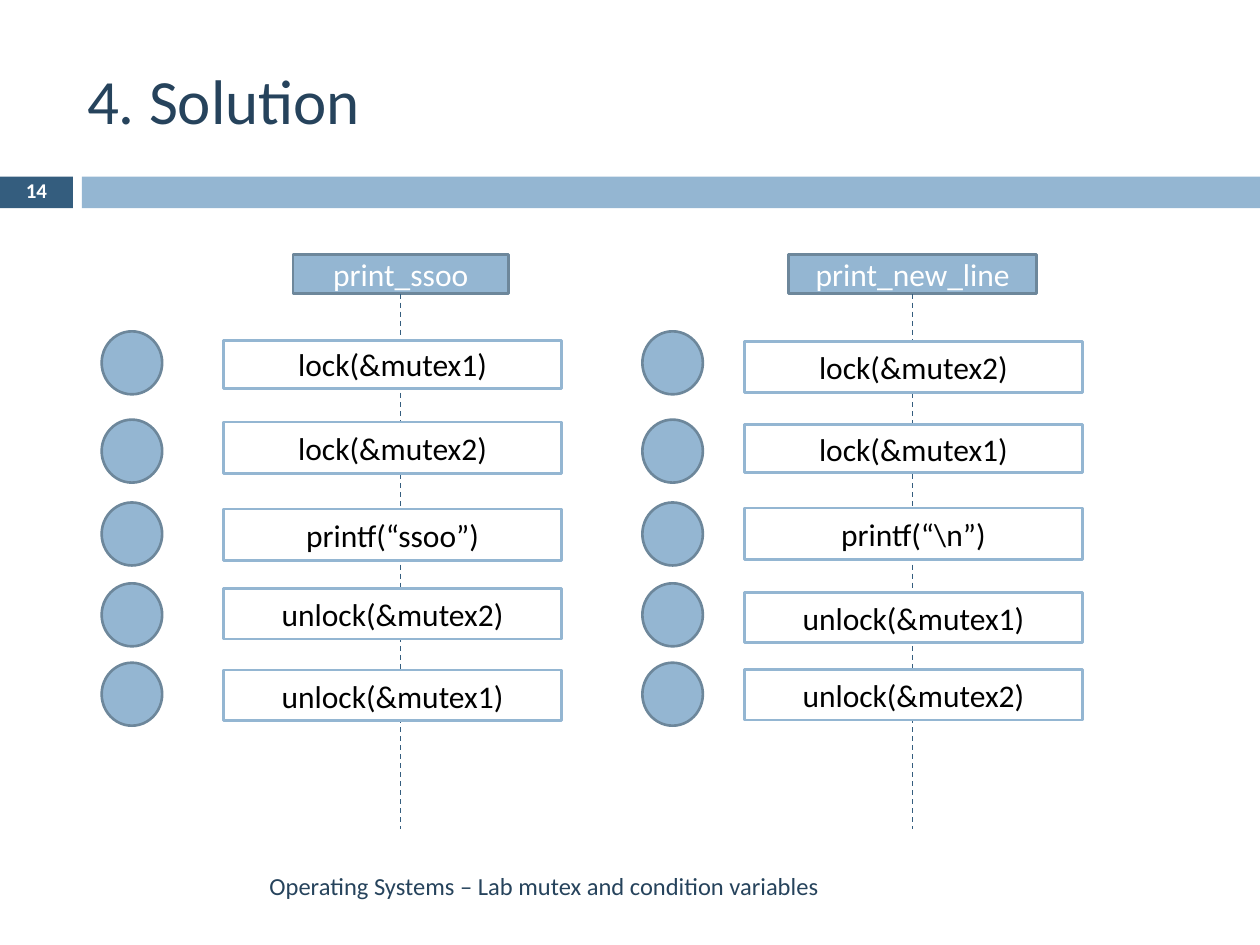
from lxml.etree import SubElement
from pptx import Presentation
from pptx.dml.color import RGBColor
from pptx.enum.dml import MSO_LINE_DASH_STYLE as DASH
from pptx.enum.shapes import MSO_CONNECTOR as CONN, MSO_SHAPE as SHAPE
from pptx.enum.text import MSO_ANCHOR as ANCHOR, MSO_AUTO_SIZE as AUTO, PP_ALIGN as ALIGN
from pptx.oxml.ns import qn
from pptx.util import Cm, Pt

WHITE, BLACK = "FFFFFF", "000000"
NAVY, DARK, LIGHT, EDGE = "26435C", "345D7E", "94B6D2", "6D879B"

CIRCLE_TOPS = [1.55, 3.33, 5.0, 6.63, 8.23]  # below the lane top
# (text, top below the lane top, height)
SSOO_STEPS = [
    ("lock(&mutex1)", 1.73, 0.97),
    ("lock(&mutex2)", 3.38, 1.04),
    ("printf(“ssoo”)", 5.13, 1.04),
    ("unlock(&mutex2)", 6.73, 1.02),
    ("unlock(&mutex1)", 8.38, 1.02),
]
NEW_LINE_STEPS = [
    ("lock(&mutex2)", 1.75, 1.04),
    ("lock(&mutex1)", 3.43, 0.97),
    ("printf(“\\n”)", 5.11, 1.04),
    ("unlock(&mutex1)", 6.81, 1.02),
    ("unlock(&mutex2)", 8.37, 1.02),
]


def rgb(hex_color):
    return RGBColor.from_string(hex_color)


def place(sp, x, y, w, h):
    sp.left, sp.top, sp.width, sp.height = Cm(x), Cm(y), Cm(w), Cm(h)


def write(sp, text, size, color, align=ALIGN.CENTER, bold=False):
    tf = sp.text_frame
    tf.word_wrap = True
    tf.auto_size = AUTO.NONE
    tf.vertical_anchor = ANCHOR.MIDDLE
    p = tf.paragraphs[0]
    p.text = text
    p.alignment = align
    p.font.name, p.font.size, p.font.bold = "Calibri", Pt(size), bold
    p.font.color.rgb = rgb(color)
    return p


def add_shape(slide, kind, x, y, w, h, fill, line=None):
    sp = slide.shapes.add_shape(kind, Cm(x), Cm(y), Cm(w), Cm(h))
    sp.shadow.inherit = False
    sp.fill.solid()
    sp.fill.fore_color.rgb = rgb(fill)
    if line:
        sp.line.color.rgb = rgb(line)
        sp.line.width = Pt(1.5)
    else:
        sp.line.fill.background()
    return sp


def add_dashed_line(slide, x, top, bottom):
    line = slide.shapes.add_connector(CONN.STRAIGHT, Cm(x), Cm(top), Cm(x), Cm(bottom))
    line.line.color.rgb = rgb(DARK)
    line.line.width = Pt(0.75)
    line.line.dash_style = DASH.DASH
    SubElement(line._element.spPr, qn("a:effectLst"))


def add_heading(slide, title, number, y, h):
    """Title above a band that holds the slide number."""
    place(slide.shapes.title, 1.5, 0.64, 24.21, 2.74)
    write(slide.shapes.title, title, 36, NAVY, ALIGN.LEFT)
    badge = add_shape(slide, SHAPE.RECTANGLE, 0, y, 1.47, h, DARK)
    add_shape(slide, SHAPE.RECTANGLE, 1.65, y, 23.75, h, LIGHT)
    p = write(badge, number, 12, WHITE, bold=True)
    p.line_spacing = 0.8


def add_footer(slide, text, x, y, w, h):
    sp = slide.shapes.add_textbox(Cm(x), Cm(y), Cm(w), Cm(h))
    write(sp, text, 14, NAVY, ALIGN.RIGHT)


def add_lane(slide, name, steps, x, y, h, axis, name_w, step_x):
    """One thread: name, dashed lifeline, steps and a circle per step."""
    name_h = 0.79
    header = add_shape(slide, SHAPE.RECTANGLE, x + axis - name_w / 2, y,
                       name_w, name_h, LIGHT, EDGE)
    write(header, name, 18, WHITE)
    add_dashed_line(slide, x + axis, y + name_h, y + h)
    for (text, top, step_h), circle_top in zip(steps, CIRCLE_TOPS):
        step = add_shape(slide, SHAPE.RECTANGLE, x + step_x, y + top,
                         6.81, step_h, WHITE, LIGHT)
        write(step, text, 18, BLACK)
        add_shape(slide, SHAPE.OVAL, x, y + circle_top, 1.22, 1.27, LIGHT, EDGE)


def main():
    prs = Presentation()
    prs.slide_width, prs.slide_height = Cm(25.4), Cm(19.05)
    slide = prs.slides.add_slide(prs.slide_layouts[5])
    add_heading(slide, "4. Solution", "14", y=3.56, h=0.64)
    add_footer(slide, "Operating Systems – Lab mutex and condition variables",
               1.7, 17.35, 15.06, 1.02)
    add_lane(slide, "print_ssoo", SSOO_STEPS, x=2.05, y=5.13, h=11.58,
             axis=6.03, name_w=4.34, step_x=2.46)
    add_lane(slide, "print_new_line", NEW_LINE_STEPS, x=12.95, y=5.13, h=11.58,
             axis=5.45, name_w=5.0, step_x=2.06)
    prs.save("out.pptx")


if __name__ == "__main__":
    main()
